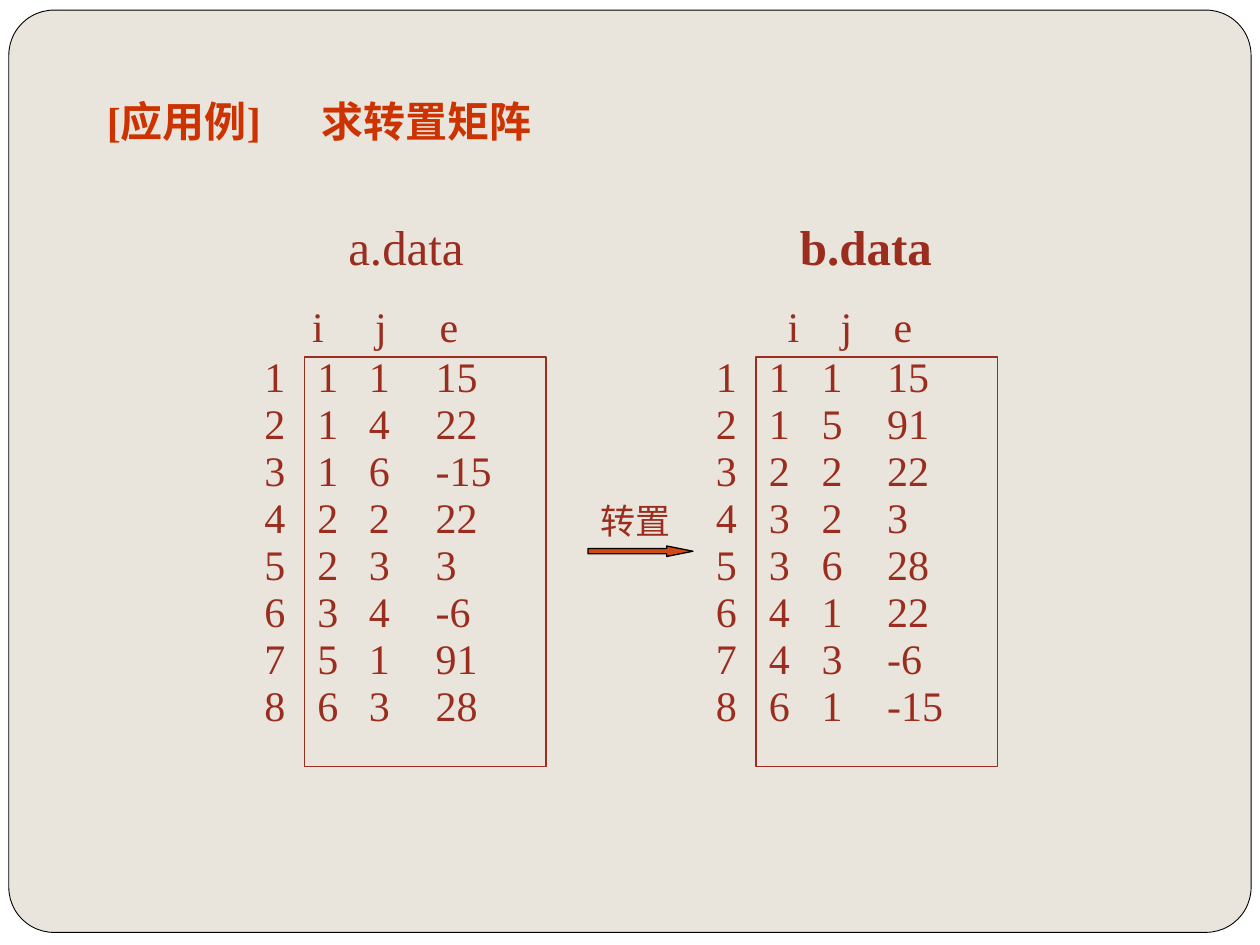
from lxml import etree
from pptx import Presentation, util as u
from pptx.dml.color import RGBColor
from pptx.enum import shapes, text
from pptx.oxml.ns import qn

WIDTH, HEIGHT = 10, 7.5
COLS, ROWS = 120, 90  # grid of twelfths of an inch

PAPER, INK, RED, ORANGE, BLACK = "E9E5DC", "9B2D1F", "CC3300", "D34817", "000000"


def color(hex_value):
    return RGBColor.from_string(hex_value)


class Board:
    """Holds the style and the current slide; places parts in grid units."""
    font = "Times New Roman"

    def __init__(self, deck):
        self.unit_x = deck.slide_width / COLS
        self.unit_y = deck.slide_height / ROWS
        self.slide = deck.slides.add_slide(deck.slide_layouts[6])

    def place(self, col, row, cols, rows):
        return (round(col * self.unit_x), round(row * self.unit_y),
                round(cols * self.unit_x), round(rows * self.unit_y))

    def shape(self, kind, area, fill=None, line=BLACK, weight=0.75, adjust=()):
        part = self.slide.shapes.add_shape(kind, *self.place(*area))
        part.shadow.inherit = False
        if fill:
            part.fill.solid()
            part.fill.fore_color.rgb = color(fill)
        else:
            part.fill.background()
        part.line.color.rgb = color(line)
        part.line.width = u.Pt(weight)
        for index, value in enumerate(adjust):
            part.adjustments[index] = value

    def text(self, area, size, lines, ink=INK, bold=False, middle=False):
        """Each line is a tuple: words, tab stops in inches, line spacing."""
        frame = self.slide.shapes.add_textbox(*self.place(*area)).text_frame
        frame.word_wrap = True
        if middle:
            frame.vertical_anchor = text.MSO_ANCHOR.MIDDLE
        for index, (words, stops, spacing) in enumerate(lines):
            paragraph = frame.add_paragraph() if index else frame.paragraphs[0]
            paragraph.text = words
            paragraph.line_spacing = spacing
            paragraph.space_before = u.Pt(0 if middle else size * 0.52)
            paragraph.font.name = self.font
            paragraph.font.size = u.Pt(size)
            paragraph.font.bold = bold
            paragraph.font.color.rgb = color(ink)
            self.tabs(paragraph, stops)

    def tabs(self, paragraph, stops):
        if not stops:
            return
        properties = paragraph._p.get_or_add_pPr()
        tab_list = etree.Element(qn("a:tabLst"))
        for stop in stops:
            etree.SubElement(tab_list, qn("a:tab"), pos=str(u.Inches(stop)), algn="l")
        properties.find(qn("a:defRPr")).addprevious(tab_list)

    def triples(self, col, name, name_area, bold, head_stops, row_stops, rows):
        """A numbered list of (i, j, e) triples with its frame and name."""
        lines = [("\ti\tj\te", head_stops, 1.0)]
        for number, triple in enumerate(rows, 1):
            words = "\t".join(str(value) for value in (number, *triple))
            lines.append((words, row_stops, 0.5))
        self.text((col, 28, 30, 44.8), 24, lines)
        self.shape(shapes.MSO_SHAPE.RECTANGLE, (col + 5, 34, 23, 39), line=INK)
        self.text(name_area, 28, [(name, (), 1.0)], bold=bold)


def main():
    deck = Presentation()
    deck.slide_width, deck.slide_height = u.Inches(WIDTH), u.Inches(HEIGHT)
    board = Board(deck)

    # Rounded panel on a white page
    board.shape(shapes.MSO_SHAPE.ROUNDED_RECTANGLE, (0.84, 0.96, 118.32, 87.84),
                fill=PAPER, weight=0.5, adjust=[0.049])

    # Title
    board.text((9, 8, 102, 7), 24, [("[应用例]\t求转置矩阵", (1.7,), 1.0)],
               ink=RED, bold=True, middle=True)

    # Triples before and after transposing
    before = [(1, 1, 15), (1, 4, 22), (1, 6, -15), (2, 2, 22),
              (2, 3, 3), (3, 4, -6), (5, 1, 91), (6, 3, 28)]
    after = sorted((j, i, e) for i, j, e in before)
    board.triples(24, "a.data", (32, 20, 17, 6.8), False,
                  (0.38, 0.88, 1.39), (0.42, 0.83, 1.36), before)
    board.triples(67, "b.data", (75, 20, 20, 6.8), True,
                  (0.57, 0.99, 1.41), (0.42, 0.84, 1.36), after)

    # Step between the two lists
    board.shape(shapes.MSO_SHAPE.RIGHT_ARROW, (56, 52, 10, 1),
                fill=ORANGE, adjust=[0.5, 2.5])
    board.text((56, 47, 18, 5.2), 20, [("转置", (), 1.0)])

    deck.save("out.pptx")


if __name__ == "__main__":
    main()
